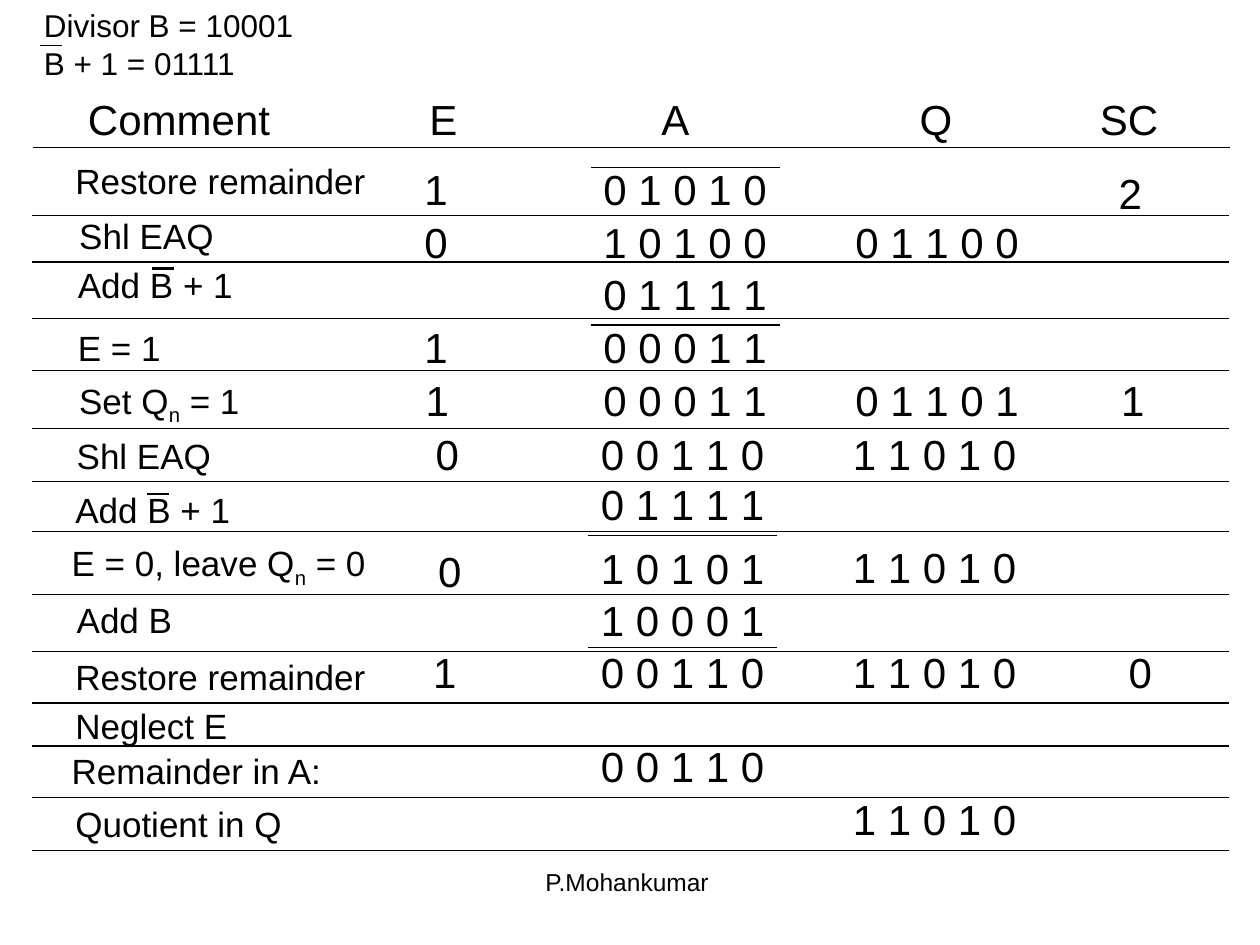
import collections

import pptx
import pptx.dml.color
import pptx.enum.shapes
import pptx.enum.text
import pptx.oxml.ns
import pptx.util
from lxml import etree

PX = 9144
COLORS = {"ink": "000000", "paper": "FFFFFF"}
FONT = "Arial"

Box = collections.namedtuple("Box", "left top width height")
Cell = collections.namedtuple("Cell", "column left top text")
Row = collections.namedtuple(
    "Row", "height comment_left comment_top comment_width comment cells sum_line overbar",
    defaults=((), None, None))

CELL_WIDTHS = {"E": 40, "A": 152, "Q": 152, "SC": 40}
HEADINGS = [("Comment", 35, 167), ("E", 306, 44), ("A", 490, 44), ("Q", 695, 48), ("SC", 838, 68)]
ROWS = [
    Row(54, 25, 5, 253, ["Restore remainder"],
        [Cell("E", 302, 8, "1"), Cell("A", 444, 8, "0 1 0 1 0"), Cell("SC", 853, 11, "2")], 16),
    Row(37, 28, -6, 129, ["Shl EAQ"],
        [Cell("E", 302, -4, "0"), Cell("A", 444, -4, "1 0 1 0 0"), Cell("Q", 644, -4, "0 1 1 0 0")]),
    Row(45, 27, -4, 146, ["Add B + 1"], [Cell("A", 444, 0, "0 1 1 1 1")], overbar=69),
    Row(41, 27, 1, 89, ["E = 1"],
        [Cell("E", 302, -3, "1"), Cell("A", 444, -3, "0 0 0 1 1")], 5),
    Row(46, 28, 2, 150, ["Set Q", "n", " = 1"],
        [Cell("E", 303, -2, "1"), Cell("A", 444, -2, "0 0 0 1 1"),
         Cell("Q", 644, -2, "0 1 1 0 1"), Cell("SC", 855, -2, "1")]),
    Row(42, 26, 0, 129, ["Shl EAQ"],
        [Cell("E", 311, -5, "0"), Cell("A", 442, -5, "0 0 1 1 0"), Cell("Q", 642, -5, "1 1 0 1 0")]),
    Row(40, 25, 1, 146, ["Add B + 1"], [Cell("A", 442, -7, "0 1 1 1 1")], overbar=67),
    Row(50, 22, 3, 256, ["E = 0, leave Q", "n", " = 0"],
        [Cell("E", 313, 6, "0"), Cell("A", 442, 4, "1 0 1 0 1"), Cell("Q", 642, 3, "1 1 0 1 0")], 3),
    Row(45, 26, -2, 99, ["Add B"], [Cell("A", 442, -5, "1 0 0 0 1")]),
    Row(41, 25, -2, 253, ["Restore remainder"],
        [Cell("E", 309, -9, "1"), Cell("A", 442, -9, "0 0 1 1 0"),
         Cell("Q", 642, -9, "1 1 0 1 0"), Cell("SC", 861, -9, "0")], -3),
    Row(34, 25, -4, 143, ["Neglect E"]),
    Row(41, 22, -2, 222, ["Remainder in A:"], [Cell("A", 442, -9, "0 0 1 1 0")]),
    Row(42, 25, -1, 187, ["Quotient in Q"], [Cell("Q", 642, -8, "1 1 0 1 0")]),
]


def add_text(slide, box, paragraphs, size, centered=False):
    """Add a text box from lists of runs, lowering each run that is only n."""
    shape = slide.shapes.add_textbox(*(length * PX for length in box))
    frame = shape.text_frame
    frame.word_wrap = centered
    if not centered:
        frame.auto_size = pptx.enum.text.MSO_AUTO_SIZE.SHAPE_TO_FIT_TEXT
    for index, runs in enumerate(paragraphs):
        paragraph = frame.add_paragraph() if index else frame.paragraphs[0]
        if centered:
            paragraph.alignment = pptx.enum.text.PP_ALIGN.CENTER
        for text in runs:
            run = paragraph.add_run()
            run.text = text
            run.font.name = FONT
            run.font.size = pptx.util.Pt(size)
            run.font.color.rgb = pptx.dml.color.RGBColor.from_string(COLORS["ink"])
            if text == "n":
                run._r.get_or_add_rPr().set("baseline", "-25000")


def add_rule(slide, left, top, width, weight=0.75):
    """Add a horizontal line without a shadow."""
    connector = slide.shapes.add_connector(
        pptx.enum.shapes.MSO_CONNECTOR.STRAIGHT,
        left * PX, top * PX, (left + width) * PX, top * PX)
    connector.line.width = pptx.util.Pt(weight)
    connector.line.color.rgb = pptx.dml.color.RGBColor.from_string(COLORS["ink"])
    etree.SubElement(connector._element.spPr, pptx.oxml.ns.qn("a:effectLst"))


def add_divisor(slide, box):
    """Add the divisor and its complement, with the bar over B."""
    add_text(slide, box, [["Divisor B = 10001"], ["B + 1 = 01111"]], 18)
    add_rule(slide, box.left + 7, box.top + 36, 17)


def add_headings(slide, box):
    """Add the column headings and the rule below them."""
    for text, left, width in HEADINGS:
        add_text(slide, Box(box.left + left, box.top, width, 50), [[text]], 24)
    add_rule(slide, box.left + 1, box.top + box.height, box.width)


def add_row(slide, box, row):
    """Add one division step: comment, register values and rules."""
    left, top = box.left + row.comment_left, box.top + row.comment_top
    height = 48 if "n" in row.comment else 44
    add_text(slide, Box(left, top, row.comment_width, height), [row.comment], 20)
    if row.overbar is not None:
        add_rule(slide, left + row.overbar, top + 9, 17, 1.5)
    for cell in row.cells:
        cell_box = Box(box.left + cell.left, box.top + cell.top, CELL_WIDTHS[cell.column], 50)
        add_text(slide, cell_box, [[cell.text]], 24)
        if cell.column == "A" and row.sum_line is not None:
            add_rule(slide, cell_box.left, box.top + row.sum_line, 150)
    add_rule(slide, box.left, box.top + box.height, box.width)


def add_steps(slide, box):
    """Stack the division steps from the top of the box."""
    top = box.top
    for row in ROWS:
        add_row(slide, Box(box.left, top, box.width, row.height), row)
        top += row.height


def add_footer(slide, box):
    """Add the centred author name."""
    add_text(slide, box, [["P.Mohankumar "]], 14, centered=True)


def main():
    """Build and save the division example."""
    presentation = pptx.Presentation()
    presentation.slide_width, presentation.slide_height = 1000 * PX, 750 * PX
    slide = presentation.slides.add_slide(presentation.slide_layouts[6])
    slide.background.fill.solid()
    slide.background.fill.fore_color.rgb = pptx.dml.color.RGBColor.from_string(COLORS["paper"])
    add_divisor(slide, Box(25, 0, 220, 70))
    add_headings(slide, Box(25, 69, 950, 48))
    add_steps(slide, Box(25, 117, 950, 558))
    add_footer(slide, Box(342, 683, 317, 52))
    presentation.save("out.pptx")


if __name__ == "__main__":
    main()
